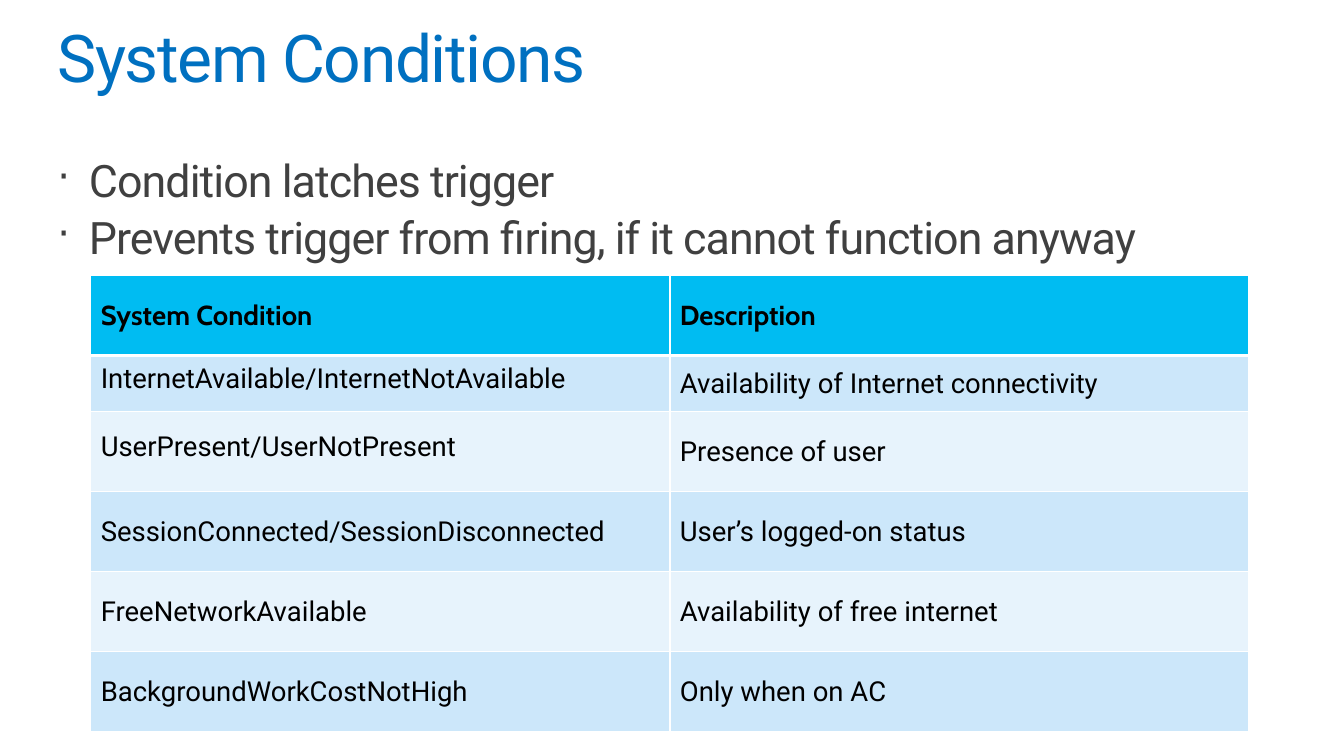
from lxml import etree
from pptx import Presentation, util as u
from pptx.dml.color import RGBColor
from pptx.enum import text
from pptx.oxml.ns import qn

BLUE = RGBColor(0x00, 0x70, 0xC0)
GREY = RGBColor(0x40, 0x40, 0x40)
BLACK = RGBColor(0x00, 0x00, 0x00)
WHITE = RGBColor(0xFF, 0xFF, 0xFF)
HEADER_CYAN = RGBColor(0x00, 0xBC, 0xF2)
BANDS = (RGBColor(0xCC, 0xE7, 0xFA), RGBColor(0xE7, 0xF3, 0xFC))

BULLETS = (
    "Condition latches trigger",
    "Prevents trigger from firing, if it cannot function anyway",
)
HEADINGS = ("System Condition", "Description")
CONDITIONS = (
    ("InternetAvailable/InternetNotAvailable", "Availability of Internet connectivity"),
    ("UserPresent/UserNotPresent", "Presence of user"),
    ("SessionConnected/SessionDisconnected", "User’s logged-on status"),
    ("FreeNetworkAvailable", "Availability of free internet"),
    ("BackgroundWorkCostNotHigh", "Only when on AC"),
)
RAISED_CONDITIONS = 2  # names in the first rows sit slightly above the middle


class Deck:
    """Style and current slide; lengths are in units of an 80 by 45 grid."""

    COLUMNS, ROWS = 80, 45
    BODY_FONT, HEADER_FONT = "Roboto", "Cabin"

    def __init__(self, width, height):
        self.prs = Presentation()
        self.prs.slide_width, self.prs.slide_height = u.Inches(width), u.Inches(height)
        self.slide = self.prs.slides.add_slide(self.prs.slide_layouts[5])

    def x(self, columns):
        return round(self.prs.slide_width * columns / self.COLUMNS)

    def y(self, rows):
        return round(self.prs.slide_height * rows / self.ROWS)

    def box(self, left, top, width, height):
        return self.x(left), self.y(top), self.x(width), self.y(height)

    def style(self, paragraph, size, color, font=BODY_FONT, bold=False, spacing=0):
        face = paragraph.font
        face.name, face.size, face.bold = font, u.Pt(size), bold
        face.color.rgb = color
        if spacing:
            paragraph._p.pPr.find(qn("a:defRPr")).set("spc", str(round(spacing * 100)))

    def plain_frame(self, frame):
        frame.word_wrap = True
        frame.auto_size = text.MSO_AUTO_SIZE.NONE
        frame.vertical_anchor = text.MSO_ANCHOR.TOP
        frame.margin_left = frame.margin_right = 0
        frame.margin_top = frame.margin_bottom = 0

    def title(self, wording, left, top, width, height):
        heading = self.slide.shapes.title
        heading.left, heading.top, heading.width, heading.height = self.box(
            left, top, width, height)
        frame = heading.text_frame
        self.plain_frame(frame)
        frame.text = wording
        line = frame.paragraphs[0]
        line.alignment = text.PP_ALIGN.LEFT
        line.line_spacing = 0.9
        self.style(line, 48, BLUE, spacing=-1)

    def bullets(self, points, left, top, width, height):
        frame = self.slide.shapes.add_textbox(*self.box(left, top, width, height)).text_frame
        self.plain_frame(frame)
        for index, point in enumerate(points):
            line = frame.add_paragraph() if index else frame.paragraphs[0]
            line.text = point
            line.line_spacing = 0.9
            line.space_before = u.Pt(6.5 if index else 0)
            props = line._p.get_or_add_pPr()
            indent = u.Inches(0.32)
            props.set("marL", str(indent))
            props.set("indent", str(-indent))
            etree.SubElement(props, qn("a:buSzPct")).set("val", "90000")
            etree.SubElement(props, qn("a:buChar")).set("char", "·")
            self.style(line, 32.6, GREY, spacing=-0.7)

    def borders(self, cell, bottom):
        props = cell._tc.get_or_add_tcPr()
        for side, width in (("L", 1), ("R", 1), ("T", 1), ("B", bottom)):
            edge = etree.SubElement(props, qn(f"a:ln{side}"))
            edge.set("w", str(u.Pt(width)))
            paint = etree.SubElement(edge, qn("a:solidFill"))
            etree.SubElement(paint, qn("a:srgbClr")).set("val", str(WHITE))

    def cell(self, cell, wording, fill, header=False, raised=False):
        self.borders(cell, bottom=3 if header else 1)
        cell.fill.solid()
        cell.fill.fore_color.rgb = fill
        cell.vertical_anchor = text.MSO_ANCHOR.MIDDLE
        cell.margin_bottom = u.Inches(0.15 if raised else 0.05)
        cell.text = wording
        font = self.HEADER_FONT if header else self.BODY_FONT
        self.style(cell.text_frame.paragraphs[0], 20, BLACK, font, bold=header)

    def table(self, headings, entries, left, top, width, heights):
        grid = self.slide.shapes.add_table(
            len(heights), len(headings), *self.box(left, top, width, sum(heights))).table
        for row, height in zip(grid.rows, heights):
            row.height = self.y(height)
        for column, heading in enumerate(headings):
            self.cell(grid.cell(0, column), heading, HEADER_CYAN, header=True)
        for index, entry in enumerate(entries):
            for column, wording in enumerate(entry):
                self.cell(grid.cell(index + 1, column), wording, BANDS[index % 2],
                          raised=column == 0 and index < RAISED_CONDITIONS)


def main():
    deck = Deck(13.6, 7.65)

    # Heading and key points
    deck.title("System Conditions", 3.41, 1.53, 73.18, 4.29)
    deck.bullets(BULLETS, 3.41, 9.47, 73.18, 34)

    # Conditions and their meaning
    tall, short = 4.76, 3.35
    deck.table(HEADINGS, CONDITIONS, 5.41, 16.41, 68.94, [tall, short] + [tall] * 4)

    deck.prs.save("out.pptx")


if __name__ == "__main__":
    main()
